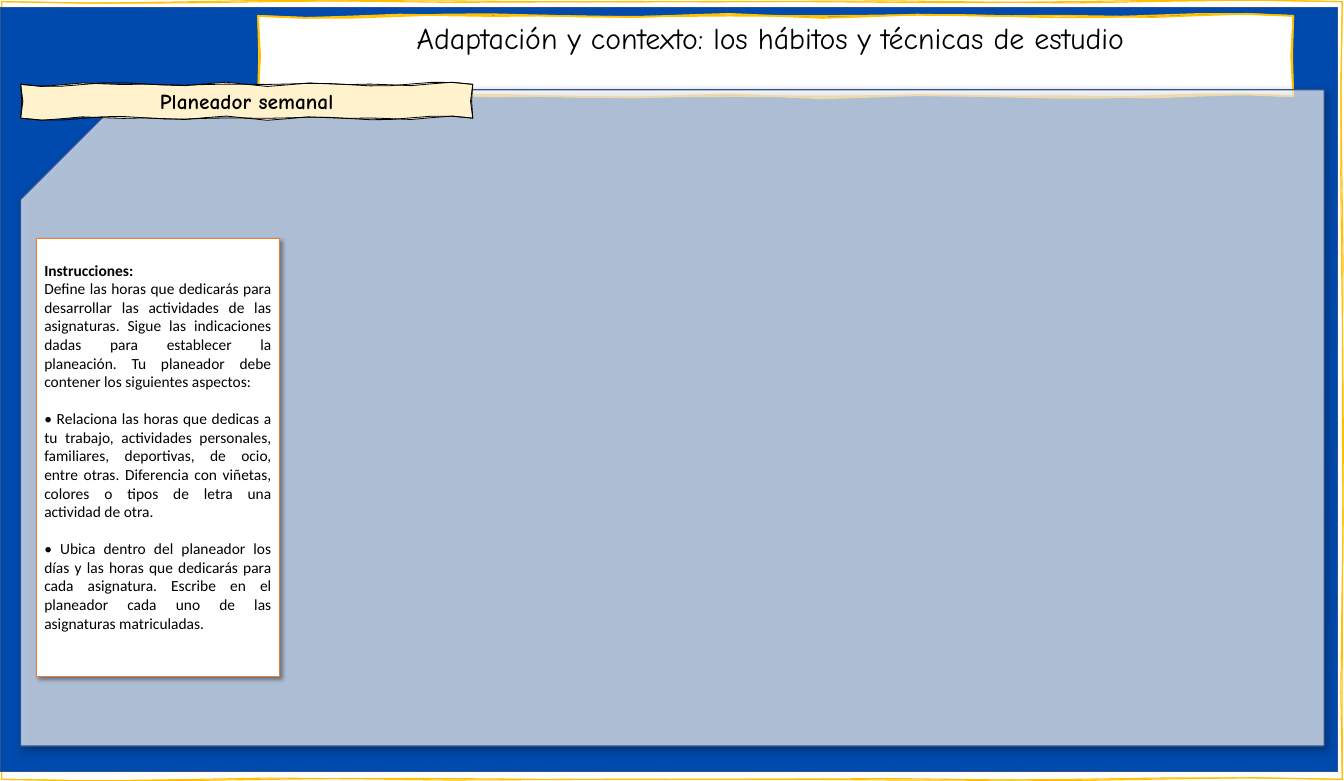
"""Build the weekly planner slide with its hand-drawn banners and instructions."""
from dataclasses import dataclass
from math import pi, sin

from lxml import etree
from pptx import Presentation
from pptx.dml.color import RGBColor
from pptx.enum import shapes, text
from pptx.oxml import ns
from pptx.util import Pt

WHITE = RGBColor(0xFF, 0xFF, 0xFF)
BLACK = RGBColor(0x00, 0x00, 0x00)
BLUE = RGBColor(0x00, 0x4A, 0xAD)
NAVY = RGBColor(0x31, 0x53, 0x8F)
GOLD = RGBColor(0xFF, 0xC0, 0x00)
CREAM = RGBColor(0xFF, 0xF2, 0xCC)
ORANGE = RGBColor(0xED, 0x7D, 0x31)

PAGE_WIDTH, PAGE_HEIGHT = 1218.96, 708.48
INSET = 3.6
OUTLINE_POINTS = 48
STROKE_WAVES = (18, 13)
BODY_SIZE = 14
BODY_LINE = 17.1


@dataclass(frozen=True)
class Box:
    """A rectangle in points."""
    left: float
    top: float
    width: float
    height: float


@dataclass(frozen=True)
class Sketch:
    """A wavy-edged panel drawn with two pen strokes."""
    box: Box
    fill: RGBColor
    line: RGBColor
    line_width: float
    wave: float
    label: str = ""
    size: float = 0
    bold: bool = False


@dataclass(frozen=True)
class Panel:
    """A straight-edged panel, optionally with a shadow."""
    box: Box
    preset: shapes.MSO_SHAPE
    fill: RGBColor
    line: RGBColor
    shadow: tuple[float, float, int, int] | None = None


@dataclass(frozen=True)
class Instruction:
    """One paragraph of the instructions."""
    wording: str
    gap: float = 0
    heading: bool = False


FRAME = Sketch(Box(1.5, 1.5, PAGE_WIDTH - 3, PAGE_HEIGHT - 3), WHITE, GOLD, 1, 1.5)
TITLE = Sketch(Box(234, 14.4, 939, 73), WHITE, GOLD, 1.5, 2,
               "Adaptación y contexto: los hábitos y técnicas de estudio ", 27.1)
SUBTITLE = Sketch(Box(18.8, 76.5, 410, 30.7), CREAM, BLACK, 0.75, 2,
                  "Planeador semanal", 19.3, True)
BACKDROP = Panel(Box(0, 7.2, 1213.2, 692.6), shapes.MSO_SHAPE.RECTANGLE, BLUE, NAVY)
PLANNER = Panel(Box(18.8, 81.4, 1182.2, 595.4), shapes.MSO_SHAPE.SNIP_1_RECTANGLE,
                WHITE, NAVY, (8, 4, 40, 43))
GUIDE = Panel(Box(33.1, 216, 220.3, 397.4), shapes.MSO_SHAPE.RECTANGLE,
              WHITE, ORANGE, (4, 3, 45, 40))
INSTRUCTIONS = (
    Instruction("Instrucciones:", heading=True),
    Instruction("Define las horas que dedicarás para desarrollar las actividades de las "
                "asignaturas. Sigue las indicaciones dadas para establecer la planeación. "
                "Tu planeador debe contener los siguientes aspectos:"),
    Instruction("• Relaciona las horas que dedicas a tu trabajo, actividades personales, "
                "familiares, deportivas, de ocio, entre otras. Diferencia con viñetas, "
                "colores o tipos de letra una actividad de otra.", BODY_LINE),
    Instruction("• Ubica dentro del planeador los días y las horas que dedicarás para cada "
                "asignatura. Escribe en el planeador cada uno de las asignaturas "
                "matriculadas.", BODY_LINE),
)


def wavy_outline(box: Box, wave: float, waves: int) -> list[tuple[int, int]]:
    """Return the outline of a box with gently waving sides."""
    right, bottom = box.left + box.width, box.top + box.height
    perimeter = 2 * (box.width + box.height)
    corners = [(box.left, box.top), (right, box.top), (right, bottom), (box.left, bottom)]
    outline = []
    for (x1, y1), (x2, y2) in zip(corners, corners[1:] + corners[:1]):
        length = abs(x2 - x1) + abs(y2 - y1)
        across, down = (x2 - x1) / length, (y2 - y1) / length
        share = length / perimeter
        slow, fast = round(waves * share), round(waves * share * 1.4)
        steps = max(1, round(OUTLINE_POINTS * share))
        for step in range(steps):
            part = step / steps
            sway = wave * (sin(pi * slow * part) + sin(pi * fast * part)) / 2
            outline.append((Pt(x1 + across * length * part - down * sway),
                            Pt(y1 + down * length * part + across * sway)))
    return outline


def style_outline(shape, line: RGBColor, width: float) -> None:
    """Set the border and drop the inherited shadow."""
    shape.shadow.inherit = False
    shape.line.color.rgb = line
    shape.line.width = Pt(width)


def fill_solid(shape, color: RGBColor) -> None:
    """Fill a shape with one colour."""
    shape.fill.solid()
    shape.fill.fore_color.rgb = color


def style_runs(paragraph, font: str, size: float, bold: bool) -> None:
    """Format every run of a paragraph."""
    for run in paragraph.runs:
        run.font.name, run.font.size, run.font.bold = font, Pt(size), bold
        run.font.color.rgb = BLACK


def prepare_frame(shape, top: float):
    """Return the wrapped, top-anchored text frame of a shape."""
    frame = shape.text_frame
    frame.word_wrap = True
    frame.vertical_anchor = text.MSO_ANCHOR.TOP
    frame.margin_top = Pt(top)
    return frame


def draw_sketch(slide, sketch: Sketch) -> None:
    """Draw a wavy panel and its label."""
    strokes = []
    for waves in STROKE_WAVES:
        outline = wavy_outline(sketch.box, sketch.wave, waves)
        builder = slide.shapes.build_freeform(*outline[0], scale=1.0)
        builder.add_line_segments(outline[1:], close=True)
        stroke = builder.convert_to_shape()
        style_outline(stroke, sketch.line, sketch.line_width)
        strokes.append(stroke)
    body, loose_stroke = strokes
    fill_solid(body, sketch.fill)
    loose_stroke.fill.background()
    if sketch.label:
        frame = prepare_frame(body, INSET + sketch.box.top - body.top.pt)
        frame.text = sketch.label
        frame.paragraphs[0].alignment = text.PP_ALIGN.CENTER
        style_runs(frame.paragraphs[0], "Comic Neue", sketch.size, sketch.bold)


def add_alpha(color_element, percent: int) -> None:
    """Make a colour element partly transparent."""
    etree.SubElement(color_element, ns.qn("a:alpha"), val=str(percent * 1000))


def draw_panel(slide, panel: Panel):
    """Draw a straight-edged panel and return it."""
    box = panel.box
    shape = slide.shapes.add_shape(panel.preset, Pt(box.left), Pt(box.top),
                                   Pt(box.width), Pt(box.height))
    style_outline(shape, panel.line, 1)
    fill_solid(shape, panel.fill)
    if panel.shadow:
        blur, distance, angle, opacity = panel.shadow
        effects = shape._element.spPr.find(ns.qn("a:effectLst"))
        cast = etree.SubElement(effects, ns.qn("a:outerShdw"), blurRad=str(Pt(blur)),
                                dist=str(Pt(distance)), dir=str(angle * 60000),
                                algn="tl", rotWithShape="0")
        add_alpha(etree.SubElement(cast, ns.qn("a:srgbClr"), val=str(BLACK)), opacity)
    return shape


def write_instructions(shape) -> None:
    """Write the instructions into the guide panel."""
    frame = prepare_frame(shape, INSET + BODY_LINE)
    frame.text = "\n".join(item.wording for item in INSTRUCTIONS)
    for paragraph, item in zip(frame.paragraphs, INSTRUCTIONS):
        paragraph.alignment = text.PP_ALIGN.LEFT if item.heading else text.PP_ALIGN.JUSTIFY
        paragraph.space_before = Pt(item.gap)
        style_runs(paragraph, "Calibri", BODY_SIZE, item.heading)


def main() -> None:
    """Assemble and save the slide."""
    deck = Presentation()
    deck.slide_width, deck.slide_height = Pt(PAGE_WIDTH), Pt(PAGE_HEIGHT)
    slide = deck.slides.add_slide(deck.slide_layouts[6])
    draw_sketch(slide, FRAME)
    draw_panel(slide, BACKDROP)
    draw_sketch(slide, TITLE)
    planner = draw_panel(slide, PLANNER)
    planner.adjustments[0] = 0.167
    planner._element.spPr.find(ns.qn("a:xfrm")).set("flipH", "1")
    add_alpha(planner._element.spPr.find(ns.qn("a:solidFill"))[0], 68)
    draw_sketch(slide, SUBTITLE)
    write_instructions(draw_panel(slide, GUIDE))
    deck.save("out.pptx")


if __name__ == "__main__":
    main()
